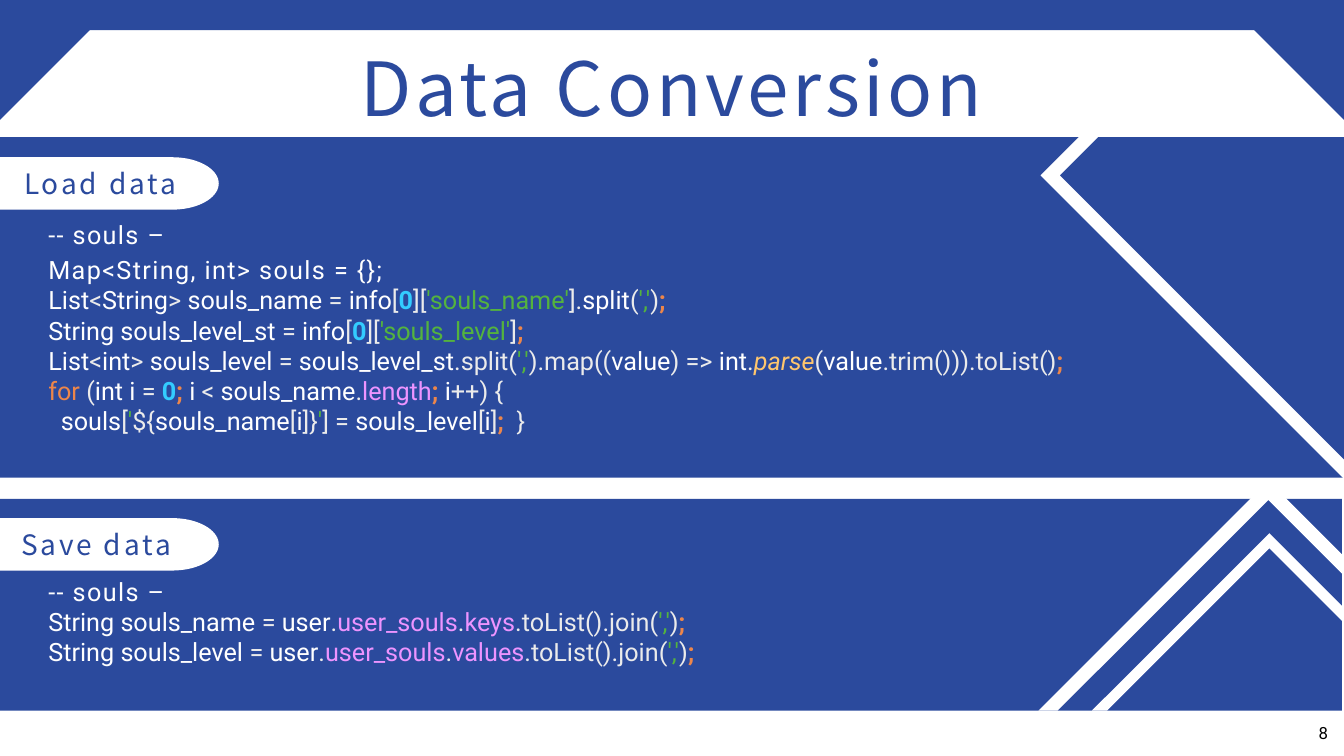
import math
from dataclasses import dataclass, field

import pptx
import pptx.dml.color
import pptx.enum.shapes
import pptx.enum.text
import pptx.util

Inches = pptx.util.Inches
Pt = pptx.util.Pt
Align = pptx.enum.text.PP_ALIGN
Anchor = pptx.enum.text.MSO_ANCHOR
Preset = pptx.enum.shapes.MSO_SHAPE


@dataclass
class Theme:
    blue: str = "2B4A9D"
    white: str = "FFFFFF"
    black: str = "000000"
    title_font: str = "Noto Sans CJK KR"
    code_font: str = "Roboto"
    title_size: float = 53.3
    label_size: float = 20
    code_size: float = 18
    number_size: float = 12
    # Run style: colour, bold, italic
    code: dict = field(default_factory=lambda: {
        "name": ("FFFFFF", False, False),
        "mark": ("EBEBEB", False, False),
        "number": ("33CCFF", True, False),
        "string": ("54B33E", False, False),
        "keyword": ("ED864A", False, False),
        "end": ("ED864A", True, False),
        "member": ("ED94FF", False, False),
        "call": ("FFC66D", False, True),
    })


theme = Theme()
presentation = pptx.Presentation()
presentation.slide_width = Inches(13.33)
presentation.slide_height = Inches(7.5)
slide = presentation.slides.add_slide(presentation.slide_layouts[6])


def write(paragraphs, left, top, width, height, size, font, color=theme.white,
          align=Align.LEFT, anchor=Anchor.TOP, inset=0):
    """Each paragraph is (line height or None, letter spacing, [(style, text), ...])."""
    box = slide.shapes.add_textbox(Inches(left), Inches(top), Inches(width), Inches(height))
    frame = box.text_frame
    frame.word_wrap = True
    frame.vertical_anchor = anchor
    frame.margin_left = frame.margin_right = Inches(inset)
    frame.margin_top = frame.margin_bottom = Inches(inset / 2)
    for index, (line_height, spacing, runs) in enumerate(paragraphs):
        paragraph = frame.add_paragraph() if index else frame.paragraphs[0]
        paragraph.alignment = align
        paragraph.font.size = Pt(size)
        if line_height:
            paragraph.line_spacing = Pt(line_height)
        for style, text in runs:
            if style == "break":
                paragraph.add_line_break()
                continue
            run_color, bold, italic = theme.code.get(style, (color, False, False))
            run = paragraph.add_run()
            run.text = text
            run.font.name = font
            run.font.size = Pt(size)
            run.font.bold = bold
            run.font.italic = italic
            run.font.color.rgb = pptx.dml.color.RGBColor.from_string(run_color)
            if spacing:
                run.font._element.set("spc", str(round(spacing * 100)))


def draw(color, points=None, preset=None, box=None, rotation=0):
    """Draw a plain filled outline from points, or a preset in a box."""
    if points:
        corners = [(Inches(x), Inches(y)) for x, y in points]
        builder = slide.shapes.build_freeform(*corners[0])
        builder.add_line_segments(corners[1:], close=True)
        shape = builder.convert_to_shape()
    else:
        shape = slide.shapes.add_shape(preset, *[Inches(length) for length in box])
    shape.rotation = rotation
    shape.shadow.inherit = False
    shape.fill.solid()
    shape.fill.fore_color.rgb = pptx.dml.color.RGBColor.from_string(color)
    shape.line.fill.background()


# Blue panels and the cut corners of the title band
for panel in ((0, 1.36, 13.33, 3.38), (0, 4.95, 13.31, 2.1)):
    draw(theme.blue, preset=Preset.RECTANGLE, box=panel)
for left, rotation in ((0, 90), (12.14, 180)):
    draw(theme.blue, preset=Preset.RIGHT_TRIANGLE, box=(left, 0, 1.19, 1.19), rotation=rotation)
draw(theme.blue, preset=Preset.RECTANGLE, box=(0, 0, 13.33, 0.3))

# Upward chevrons, running at 45 degrees to the slide edge and panel bottom
edge, bottom = 13.33, 7.05
for peak, outer, inner in ((12.58, 4.77, 4.96), (12.59, 5.29, 5.44)):
    draw(theme.white, points=[
        (peak - bottom + outer, bottom), (peak, outer), (edge, outer + edge - peak),
        (edge, inner + edge - peak), (peak, inner), (peak - bottom + inner, bottom)])

# Chevron that points left in the upper panel
tip, inner_tip, middle, panel_top = 10.32, 10.51, 1.74, 1.36
draw(theme.white, points=[
    (tip + middle - panel_top, panel_top), (tip, middle), (edge, middle + edge - tip),
    (edge, middle + edge - inner_tip), (inner_tip, middle),
    (inner_tip + middle - panel_top, panel_top)])

# Title
write([(56, 2.7, [("title", "Data Conversion")])], 1.08, 0.53, 11.17, 0.79,
      theme.title_size, theme.title_font, color=theme.blue, align=Align.CENTER)

# Section labels on tabs with an elliptical end
cap_left, cap_width, half_height = 1.71, 0.46, 0.26
for text, text_left, text_top, tab_middle in (("Load data", 0.24, 1.6, 1.82),
                                              ("Save data", 0.21, 5.18, 5.4)):
    angles = [math.radians(degrees) for degrees in range(-90, 91, 5)]
    cap = [(cap_left + cap_width * math.cos(angle), tab_middle + half_height * math.sin(angle))
           for angle in angles]
    draw(theme.white, points=[(0, tab_middle - half_height), *cap, (0, tab_middle + half_height)])
    write([(28, 2, [("label", text)])], text_left, text_top, 5.97, 0.34,
          theme.label_size, theme.title_font, color=theme.blue)

# Code that loads the data
line_break = ("break", "")
heading = (25, 1, [("name", "-- souls –")])
split_names = [
    ("name", "List"), ("mark", "<"), ("name", "String"), ("mark", "> "),
    ("name", "souls_name "), ("mark", "= "), ("name", "info"), ("mark", "["),
    ("number", "0"), ("mark", "]["), ("string", "'souls_name'"), ("mark", "]."),
    ("name", "split"), ("mark", "("), ("string", "','"), ("mark", ")"), ("end", ";")]
read_levels = [
    ("name", "String souls_level_st "), ("mark", "= "), ("name", "info"), ("mark", "["),
    ("number", "0"), ("mark", "]["), ("string", "'souls_level'"), ("mark", "]"), ("end", ";")]
split_levels = [
    ("name", "List"), ("mark", "<"), ("name", "int"), ("mark", "> "),
    ("name", "souls_level "), ("mark", "= "), ("name", "souls_level_st"),
    ("mark", ".split("), ("string", "','"), ("mark", ").map(("), ("name", "value"),
    ("mark", ") => "), ("name", "int"), ("mark", "."), ("call", "parse"), ("mark", "("),
    ("name", "value"), ("mark", ".trim())).toList()"), ("end", ";")]
fill_map = [
    ("keyword", "for "), ("mark", "("), ("name", "int i "), ("mark", "= "), ("number", "0"),
    ("end", "; "), ("name", "i "), ("mark", "< "), ("name", "souls_name"), ("mark", "."),
    ("member", "length"), ("end", "; "), ("name", "i"), ("mark", "++) {"), line_break,
    ("mark", "  "), ("name", "souls"), ("mark", "["), ("string", "'"), ("mark", "${"),
    ("name", "souls_name"), ("mark", "["), ("name", "i"), ("mark", "]}"), ("string", "'"),
    ("mark", "] = "), ("name", "souls_level"), ("mark", "["), ("name", "i"), ("mark", "]"),
    ("end", ";  "), ("mark", "}")]
write([heading,
       (25, 1, [("name", "Map<String, int> souls = {};")]),
       (None, 0, [*split_names, line_break, *read_levels, line_break, *split_levels]),
       (None, 0, fill_map)],
      0.48, 2.13, 10.46, 2.52, theme.code_size, theme.code_font)

# Code that saves the data
joins = [[("name", f"String {variable} "), ("mark", "= "), ("name", "user"), ("mark", "."),
          ("member", "user_souls"), ("mark", "."), ("member", member),
          ("mark", ".toList().join("), ("string", "','"), ("mark", ")"), ("end", ";")]
         for variable, member in (("souls_name", "keys"), ("souls_level", "values"))]
write([heading, (None, 0, [*joins[0], line_break, *joins[1]])],
      0.48, 5.67, 8.25, 0.96, theme.code_size, theme.code_font)

# Slide number
write([(None, 0, [("page", "8")])], 11.66, 7.11, 1.61, 0.33, theme.number_size,
      theme.code_font, color=theme.black, align=Align.RIGHT, anchor=Anchor.MIDDLE, inset=0.1)

presentation.save("out.pptx")
